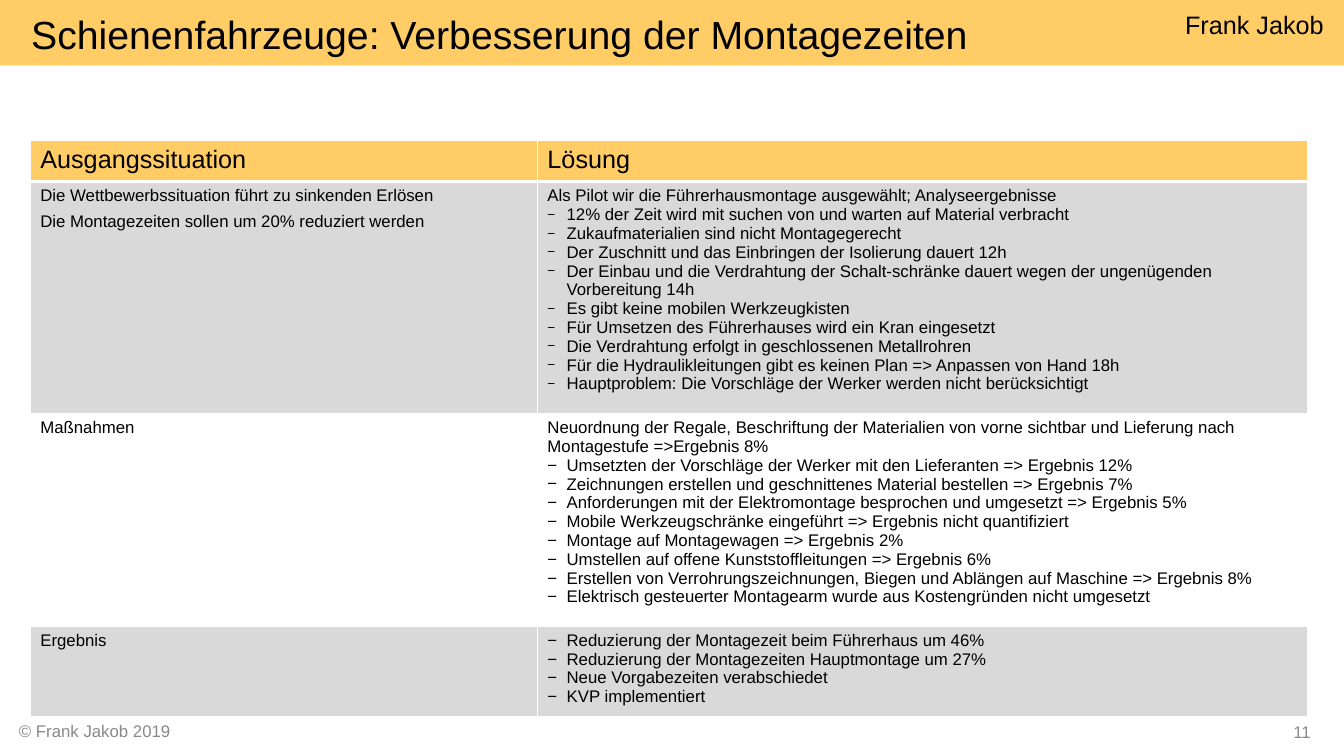
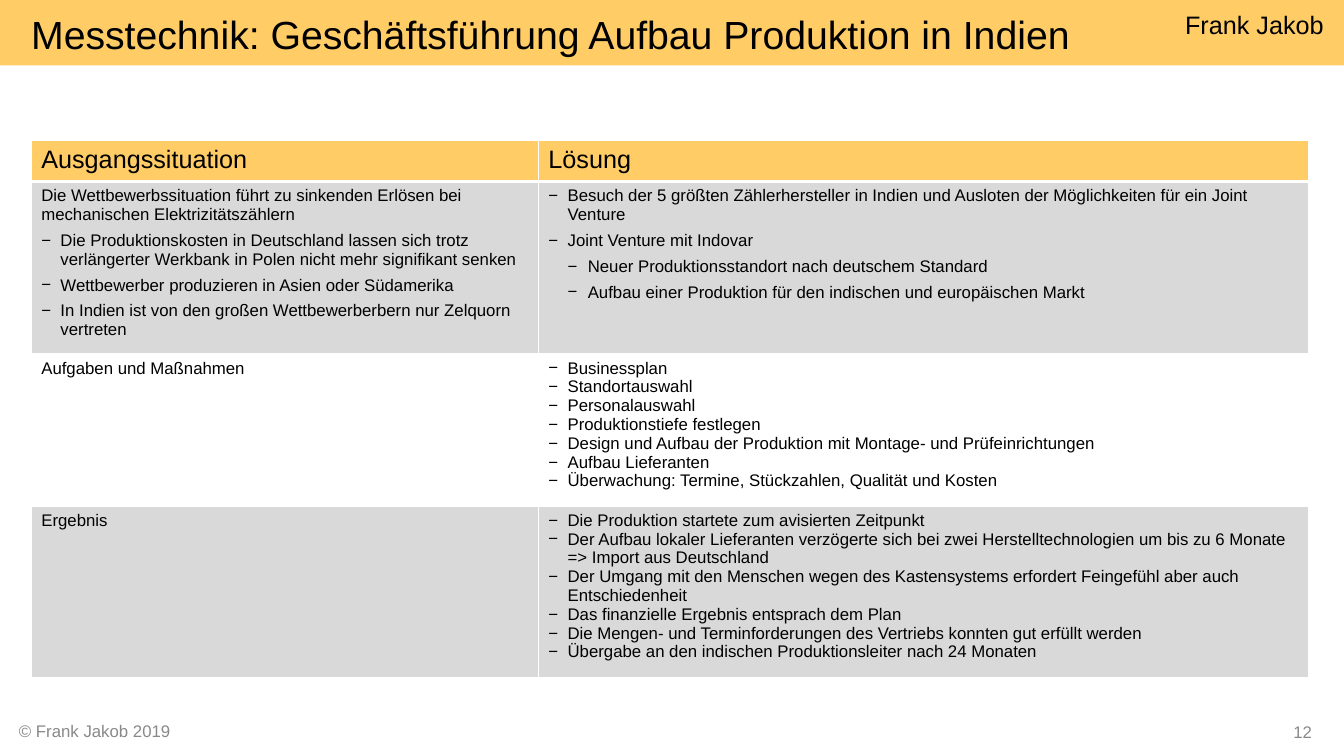
import pptx
import pptx.util
import pptx.dml.color
import pptx.enum.shapes
import pptx.enum.text
import pptx.oxml
import pptx.oxml.ns
from lxml import etree

Inches = pptx.util.Inches
Pt = pptx.util.Pt
Anchor = pptx.enum.text.MSO_ANCHOR
Align = pptx.enum.text.PP_ALIGN
qn = pptx.oxml.ns.qn

HEX = {"band": "FFCC66", "row": "D9D9D9", "white": "FFFFFF",
       "text": "000000", "foot": "898989"}
FONT = "Arial"
INDENT = {1: (0.19, -0.19), 2: (0.39, -0.2)}
HEAD = [["Ausgangssituation"], ["Lösung"]]


def rgb(name):
    return pptx.dml.color.RGBColor.from_string(HEX[name])


def write(par, text, size=12, color="text", align=Align.LEFT, gap=False,
          level=0, scale=100):
    par.text = text
    par.alignment = align
    par.space_before = Pt(2 if gap else 0)
    par.space_after = Pt(3 if gap else 0)
    for run in par.runs:
        run.font.size = Pt(size)
        run.font.name = FONT
        run.font.bold = False
        run.font.color.rgb = rgb(color)
    if level:
        left, hang = INDENT[level]
        props = par._p.get_or_add_pPr()
        props.set("marL", str(Inches(left)))
        props.set("indent", str(Inches(hang)))
        etree.SubElement(props, qn("a:buSzPct"), val=str(scale * 1000))
        etree.SubElement(props, qn("a:buFont"), typeface=FONT)
        etree.SubElement(props, qn("a:buChar"), char="−")


class Deck:
    def __init__(self):
        self.prs = pptx.Presentation()
        self.prs.slide_width = Inches(13.33)
        self.prs.slide_height = Inches(7.5)
        self.slide = None

    def page(self, title, number):
        self.slide = self.prs.slides.add_slide(self.prs.slide_layouts[6])
        self.band("Frank Jakob")
        self.label("© Frank Jakob 2019", 0.09, 7.1, 2, 0.3, color="foot")
        self.label(str(number), 12.73, 7.11, 0.53, 0.3, color="foot")
        self.label(title, 0.31, 0, 11.2, 0.68, inset=0,
                   anchor=Anchor.MIDDLE, size=28)

    def band(self, text):
        box = self.slide.shapes.add_shape(
            pptx.enum.shapes.MSO_SHAPE.RECTANGLE,
            0, Inches(-0.03), Inches(13.33), Inches(0.68))
        box.shadow.inherit = False
        box.fill.solid()
        box.fill.fore_color.rgb = rgb("band")
        box.line.fill.background()
        frame = box.text_frame
        frame.vertical_anchor = Anchor.TOP
        frame.margin_left = frame.margin_bottom = 0
        frame.margin_top = Inches(0.12)
        frame.margin_right = Inches(0.2)
        write(frame.paragraphs[0], text, size=18, align=Align.RIGHT)

    def label(self, text, left, top, width, height, inset=None,
              anchor=Anchor.TOP, **style):
        box = self.slide.shapes.add_textbox(
            Inches(left), Inches(top), Inches(width), Inches(height))
        frame = box.text_frame
        frame.word_wrap = True
        frame.vertical_anchor = anchor
        if inset is not None:
            frame.margin_left = frame.margin_right = Inches(inset)
            frame.margin_top = frame.margin_bottom = Inches(inset)
        write(frame.paragraphs[0], text, **style)

    def table(self, left, heights, rows):
        widths = [5.03, 7.64]
        grid = self.slide.shapes.add_table(
            len(heights), len(widths), Inches(left), Inches(1.39),
            Inches(sum(widths)), Inches(sum(heights))).table
        for col, width in zip(grid.columns, widths):
            col.width = Inches(width)
        for r, (height, row) in enumerate(zip(heights, [HEAD] + rows)):
            grid.rows[r].height = Inches(height)
            fill = "band" if r == 0 else "row" if r % 2 else "white"
            for c, lines in enumerate(row):
                cell = grid.cell(r, c)
                self.frame(cell, top=3 if r == 1 else 1,
                           bottom=3 if r == 0 else 1)
                cell.fill.solid()
                cell.fill.fore_color.rgb = rgb(fill)
                self.fill(cell, lines, size=12 if r else 18)

    def frame(self, cell, top, bottom):
        props = cell._tc.get_or_add_tcPr()
        for side, width in zip("LRTB", (1, 1, top, bottom)):
            line = etree.SubElement(props, qn("a:ln" + side),
                                    w=str(Pt(width)))
            solid = etree.SubElement(line, qn("a:solidFill"))
            etree.SubElement(solid, qn("a:srgbClr"), val=HEX["white"])

    def fill(self, cell, lines, size):
        style = {}
        if isinstance(lines, dict):
            style = dict(lines)
            lines = style.pop("lines")
        frame = cell.text_frame
        for i, line in enumerate(lines):
            par = frame.add_paragraph() if i else frame.paragraphs[0]
            text = line.lstrip("−")
            write(par, text.strip(), size=size,
                  level=len(line) - len(text), **style)


RAIL = [
    [{"gap": True, "lines": [
        "Die Wettbewerbssituation führt zu sinkenden Erlösen",
        "Die Montagezeiten sollen um 20% reduziert werden"]},
     {"scale": 80, "lines": [
         "Als Pilot wir die Führerhausmontage ausgewählt; Analyseergebnisse",
         "− 12% der Zeit wird mit suchen von und warten auf Material verbracht",
         "− Zukaufmaterialien sind nicht Montagegerecht",
         "− Der Zuschnitt und das Einbringen der Isolierung dauert 12h",
         "− Der Einbau und die Verdrahtung der Schalt-schränke dauert wegen "
         "der ungenügenden Vorbereitung 14h",
         "− Es gibt keine mobilen Werkzeugkisten",
         "− Für Umsetzen des Führerhauses wird ein Kran eingesetzt",
         "− Die Verdrahtung erfolgt in geschlossenen Metallrohren",
         "− Für die Hydraulikleitungen gibt es keinen Plan => Anpassen von "
         "Hand 18h",
         "− Hauptproblem: Die Vorschläge der Werker werden nicht "
         "berücksichtigt"]}],
    [{"gap": True, "lines": ["Maßnahmen"]},
     ["Neuordnung der Regale, Beschriftung der Materialien von vorne "
      "sichtbar und Lieferung nach Montagestufe =>Ergebnis 8%",
      "− Umsetzten der Vorschläge der Werker mit den Lieferanten => "
      "Ergebnis 12%",
      "− Zeichnungen erstellen und geschnittenes Material bestellen => "
      "Ergebnis 7%",
      "− Anforderungen mit der Elektromontage besprochen und umgesetzt => "
      "Ergebnis 5%",
      "− Mobile Werkzeugschränke eingeführt => Ergebnis nicht quantifiziert",
      "− Montage auf Montagewagen => Ergebnis 2%",
      "− Umstellen auf offene Kunststoffleitungen => Ergebnis 6%",
      "− Erstellen von Verrohrungszeichnungen, Biegen und Ablängen auf "
      "Maschine => Ergebnis 8%",
      "− Elektrisch gesteuerter Montagearm wurde aus Kostengründen nicht "
      "umgesetzt"]],
    [["Ergebnis"],
     ["− Reduzierung der Montagezeit beim Führerhaus um 46%",
      "− Reduzierung der Montagezeiten Hauptmontage um 27%",
      "− Neue Vorgabezeiten verabschiedet",
      "− KVP implementiert"]],
]

METER = [
    [{"gap": True, "lines": [
        "Die Wettbewerbssituation führt zu sinkenden Erlösen bei "
        "mechanischen Elektrizitätszählern",
        "− Die Produktionskosten in Deutschland lassen sich trotz "
        "verlängerter Werkbank in Polen nicht mehr signifikant senken",
        "− Wettbewerber produzieren in Asien oder Südamerika",
        "− In Indien ist von den großen Wettbewerberbern nur Zelquorn "
        "vertreten"]},
     {"gap": True, "lines": [
         "− Besuch der 5 größten Zählerhersteller in Indien und Ausloten der "
         "Möglichkeiten für ein Joint Venture",
         "− Joint Venture mit Indovar",
         "−− Neuer Produktionsstandort nach deutschem Standard",
         "−− Aufbau einer Produktion für den indischen und europäischen "
         "Markt"]}],
    [{"gap": True, "lines": ["Aufgaben und Maßnahmen"]},
     ["− Businessplan",
      "− Standortauswahl",
      "− Personalauswahl",
      "− Produktionstiefe festlegen",
      "− Design und Aufbau der Produktion mit Montage- und "
      "Prüfeinrichtungen",
      "− Aufbau Lieferanten",
      "− Überwachung: Termine, Stückzahlen, Qualität und Kosten"]],
    [["Ergebnis"],
     ["− Die Produktion startete zum avisierten Zeitpunkt",
      "− Der Aufbau lokaler Lieferanten verzögerte sich bei zwei "
      "Herstelltechnologien um bis zu 6 Monate\v=> Import aus Deutschland",
      "− Der Umgang mit den Menschen wegen des Kastensystems erfordert "
      "Feingefühl aber auch Entschiedenheit",
      "− Das finanzielle Ergebnis entsprach dem Plan",
      "− Die Mengen- und Terminforderungen des Vertriebs konnten gut erfüllt "
      "werden",
      "− Übergabe an den indischen Produktionsleiter nach 24 Monaten"]],
]


def main():
    deck = Deck()
    deck.page("Schienenfahrzeuge: Verbesserung der Montagezeiten", 11)
    deck.table(0.3, [0.41, 2.29, 2.11, 0.88], RAIL)
    deck.page("Messtechnik: Geschäftsführung Aufbau Produktion in Indien", 12)
    deck.table(0.31, [0.41, 1.7, 1.51, 1.69], METER)
    deck.prs.save("out.pptx")


if __name__ == "__main__":
    main()
